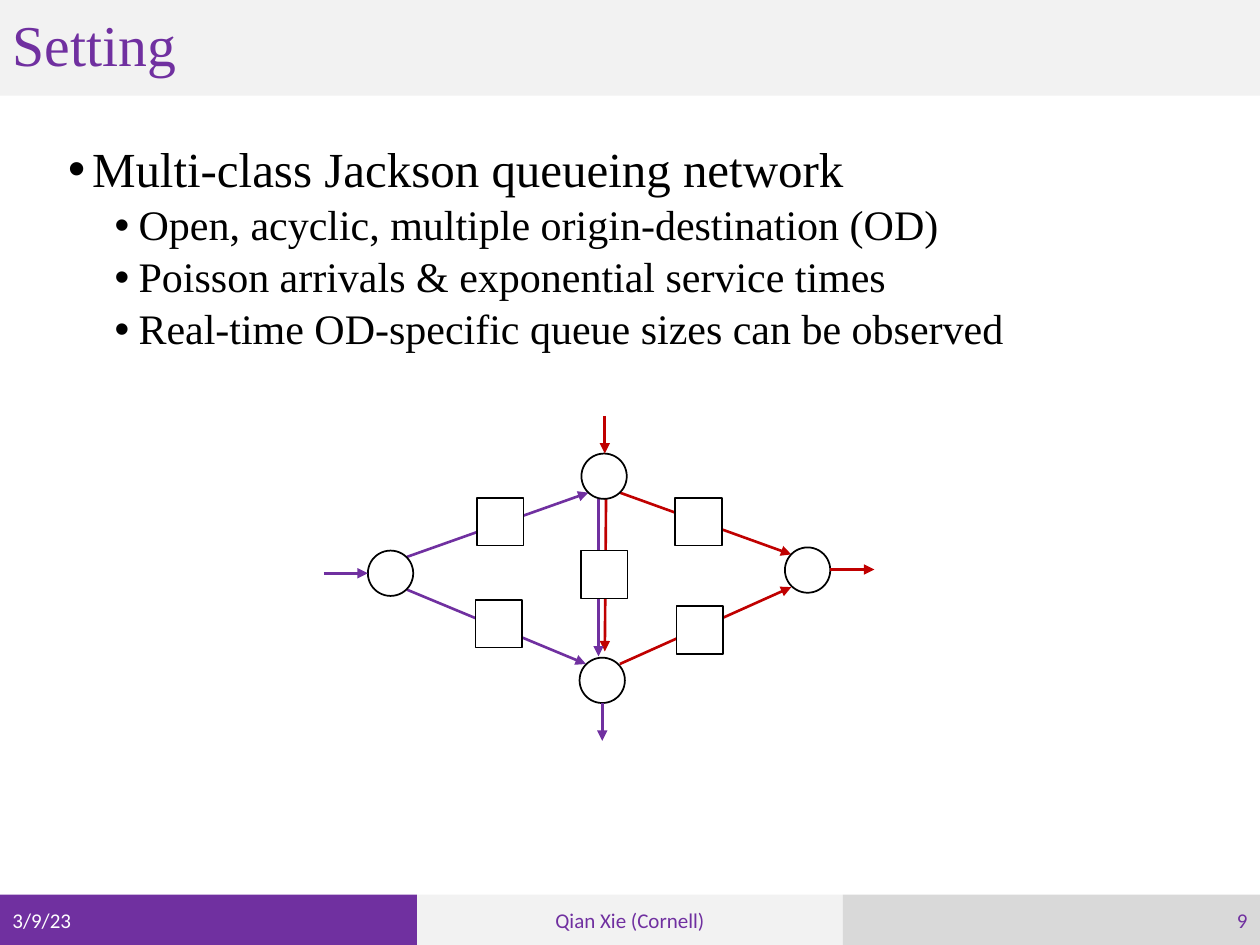
from lxml.etree import SubElement
from pptx import Presentation
from pptx.dml.color import RGBColor
from pptx.enum.shapes import MSO_CONNECTOR, MSO_SHAPE
from pptx.enum.text import MSO_ANCHOR, MSO_AUTO_SIZE, PP_ALIGN
from pptx.oxml.ns import qn
from pptx.util import Inches, Pt

COLS, ROWS = 100, 75
WIDE, HIGH = Inches(10), Inches(7.5)
PLUM, RED, BLACK, WHITE = "7030A0", "C00000", "000000", "FFFFFF"
PALE, GREY = "F2F2F2", "D9D9D9"
SERIF, SANS = "Times New Roman", "Calibri"

ITEMS = [
    (0, "Multi-class Jackson queueing network"),
    (1, "Open, acyclic, multiple origin-destination (OD)"),
    (1, "Poisson arrivals & exponential service times"),
    (1, "Real-time OD-specific queue sizes can be observed"),
]
LEVELS = [
    {"size": 28, "left": 1.9, "before": 7.5},
    {"size": 24, "left": 5.6, "before": 3.8},
]
BARS = [
    (0, 33.1, PLUM, WHITE, PP_ALIGN.LEFT, "3/9/23"),
    (33.1, 33.8, PALE, PLUM, PP_ALIGN.CENTER, "Qian Xie (Cornell)"),
    (66.9, 33.1, GREY, PLUM, PP_ALIGN.RIGHT, "9"),
]
LINKS = [
    (RED, 48.1, 39.6, 48, 51.7),
    (PLUM, 32.3, 44.2, 46.7, 39.1),
    (PLUM, 32.3, 46.8, 46.5, 52.7),
    (PLUM, 47.5, 39.6, 47.5, 52.1),
    (RED, 49.2, 39.1, 62.8, 44),
    (RED, 49.2, 52.7, 62.8, 46.6),
]
PORTS = [
    (PLUM, 25.7, 45.5, 29.2, 45.5),
    (PLUM, 47.8, 55.8, 47.8, 58.8),
    (RED, 65.9, 45.2, 69.4, 45.2),
    (RED, 48, 33, 48, 36),
]
NODES = [(31, 45.5), (47.95, 37.8), (64.1, 45.25), (47.8, 54)]
QUEUES = [(39.7, 41.4), (55.45, 41.4), (39.6, 49.5), (55.55, 50), (47.95, 45.6)]


def col(n):
    """Length of n grid columns."""
    return int(WIDE * n / COLS)


def row(n):
    """Length of n grid rows."""
    return int(HIGH * n / ROWS)


def hue(code):
    """Colour from a hex string."""
    return RGBColor.from_string(code)


def style(item, form):
    """Set each format value on an item."""
    for name, value in form.items():
        setattr(item, name, value)


def place(shape, x, y, w, h):
    """Put a shape on the grid."""
    style(shape, {"left": col(x), "top": row(y), "width": col(w), "height": row(h)})


def paint(shape, code):
    """Fill a shape with one colour."""
    shape.fill.solid()
    shape.fill.fore_color.rgb = hue(code)


def write(para, text, face, size, code):
    """Add a run of formatted text."""
    run = para.add_run()
    run.text = text
    style(run.font, {"name": face, "size": Pt(size)})
    run.font.color.rgb = hue(code)


def head(slide, text):
    """Format the title band."""
    title = slide.shapes.title
    place(title, 0, 0, 100, 7.6)
    paint(title, PALE)
    style(title.text_frame, {"vertical_anchor": MSO_ANCHOR.MIDDLE, "auto_size": MSO_AUTO_SIZE.NONE})
    para = title.text_frame.paragraphs[0]
    style(para, {"alignment": PP_ALIGN.LEFT, "line_spacing": 0.9})
    write(para, text, SERIF, 33, PLUM)


def dot(para, left):
    """Give a paragraph a hanging bullet."""
    props = para._p.get_or_add_pPr()
    props.set("marL", str(col(left)))
    props.set("indent", str(-col(1.9)))
    SubElement(props, qn("a:buFont"), typeface="Arial")
    SubElement(props, qn("a:buChar"), char="•")


def fill_list(slide, items):
    """Fill the body with a list of two levels."""
    body = slide.placeholders[1]
    place(body, 4.4, 11, 91.5, 56.4)
    frame = body.text_frame
    frame.auto_size = MSO_AUTO_SIZE.NONE
    for i, (level, text) in enumerate(items):
        form = LEVELS[level]
        para = frame.add_paragraph() if i else frame.paragraphs[0]
        gap = Pt(form["before"] if i else 0)
        style(para, {"level": level, "line_spacing": 0.9, "space_before": gap})
        dot(para, form["left"])
        write(para, text, SERIF, form["size"], BLACK)


def block(slide, kind, x, y, w, h, code):
    """Add a filled shape without a shadow."""
    shape = slide.shapes.add_shape(kind, col(x), row(y), col(w), row(h))
    shape.shadow.inherit = False
    paint(shape, code)
    return shape


def bar(slide, x, w, code, ink, align, text):
    """Add one part of the footer."""
    shape = block(slide, MSO_SHAPE.RECTANGLE, x, 71, w, 4, code)
    shape.line.fill.background()
    shape.text_frame.vertical_anchor = MSO_ANCHOR.MIDDLE
    para = shape.text_frame.paragraphs[0]
    para.alignment = align
    write(para, text, SANS, 12, ink)


def mark(slide, kind, x, y, w, h):
    """Add an outlined shape about a centre."""
    shape = block(slide, kind, x - w / 2, y - h / 2, w, h, WHITE)
    shape.line.color.rgb = hue(BLACK)
    shape.line.width = Pt(1)


def arrow(slide, code, x, y, to_x, to_y):
    """Add an arrow between two grid points."""
    link = slide.shapes.add_connector(
        MSO_CONNECTOR.STRAIGHT, col(x), row(y), col(to_x), row(to_y))
    link.line.color.rgb = hue(code)
    link.line.width = Pt(1.5)
    SubElement(link.line._get_or_add_ln(), qn("a:tailEnd"), type="triangle")
    SubElement(link._element.spPr, qn("a:effectLst"))


def main():
    """Build and save the slide."""
    deck = Presentation()
    style(deck, {"slide_width": WIDE, "slide_height": HIGH})
    slide = deck.slides.add_slide(deck.slide_layouts[1])
    head(slide, "Setting")
    fill_list(slide, ITEMS)
    for part in BARS:
        bar(slide, *part)
    for link in LINKS:
        arrow(slide, *link)
    for spot in NODES:
        mark(slide, MSO_SHAPE.OVAL, *spot, 3.6, 3.6)
    for spot in QUEUES:
        mark(slide, MSO_SHAPE.RECTANGLE, *spot, 3.7, 3.8)
    for port in PORTS:
        arrow(slide, *port)
    deck.save("out.pptx")


if __name__ == "__main__":
    main()
